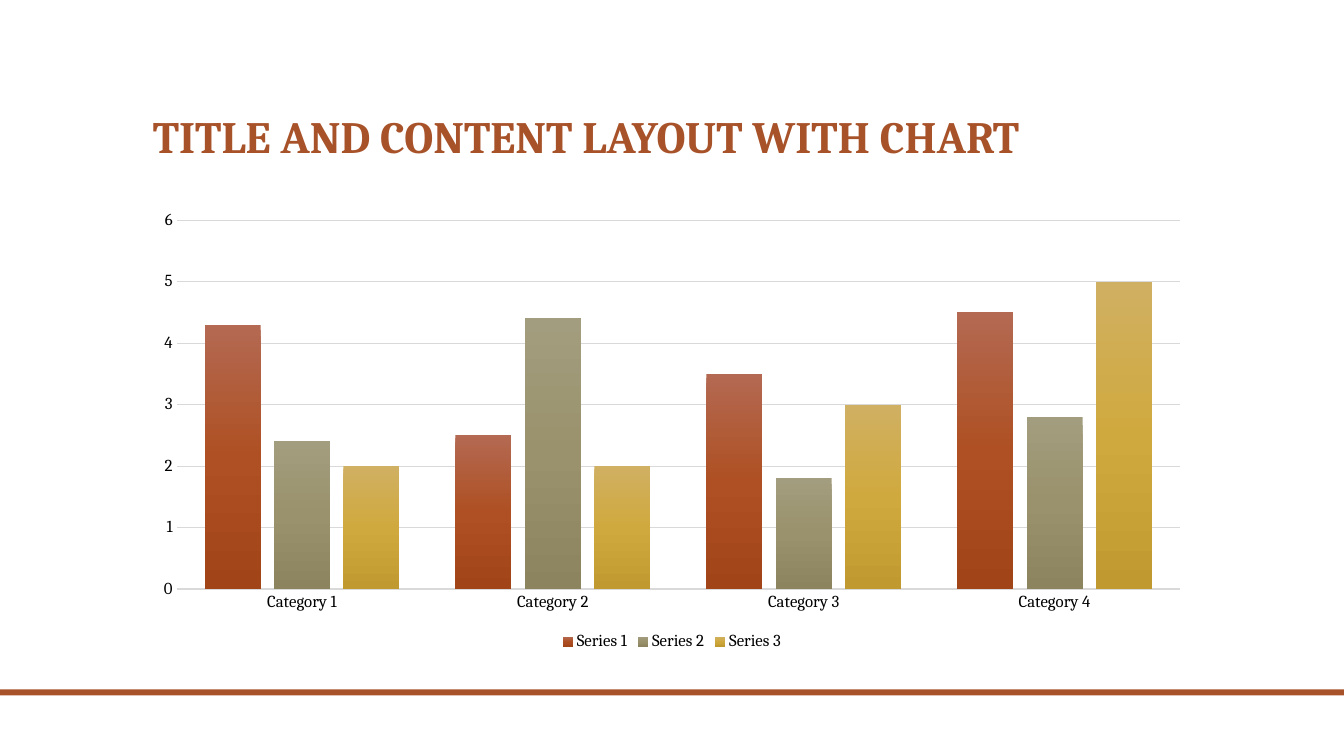
from copy import deepcopy
from dataclasses import dataclass

from pptx import Presentation
from pptx.chart.data import CategoryChartData
from pptx.dml.color import RGBColor
from pptx.enum.chart import XL_CHART_TYPE, XL_LEGEND_POSITION, XL_TICK_MARK
from pptx.enum.shapes import MSO_SHAPE
from pptx.enum.text import MSO_ANCHOR, MSO_AUTO_SIZE, PP_ALIGN
from pptx.util import Pt

SLIDE_WIDTH, SLIDE_HEIGHT = 960, 540
CONTENT_LEFT, CONTENT_WIDTH = 102, 756

CATEGORIES = [f"Category {number}" for number in range(1, 5)]
SERIES = {
    "Series 1": (4.3, 2.5, 3.5, 4.5),
    "Series 2": (2.4, 4.4, 1.8, 2.8),
    "Series 3": (2, 2, 3, 5),
}


@dataclass(frozen=True)
class Theme:
    font: str = "Cambria"
    accent: str = "A85229"
    chart_text: str = "000000"
    rule: str = "D9D9D9"
    title_size: int = 32
    chart_size: int = 12
    rule_width: float = 0.75
    # Top, middle and bottom colour of each series
    gradients: tuple = (
        ("B46952", "AE5023", "A14519"),
        ("A39D7F", "9A926C", "8B845E"),
        ("D0B062", "D0A93E", "C09A30"),
    )


class SlideBuilder:
    def __init__(self, slide, theme):
        self.slide = slide
        self.theme = theme

    def style_font(self, font, size, color, bold=False):
        font.name = self.theme.font
        font.size = Pt(size)
        font.bold = bold
        font.color.rgb = RGBColor.from_string(color)

    def style_rule(self, line):
        line.color.rgb = RGBColor.from_string(self.theme.rule)
        line.width = Pt(self.theme.rule_width)

    def fill_gradient(self, fill, colors):
        """Fill from top to bottom with three evenly spaced colours."""
        fill.gradient()
        fill.gradient_angle = 270
        stop_list = fill._fill._gradFill.gsLst
        stop_list.insert(1, deepcopy(stop_list[0]))
        for index, (stop, color) in enumerate(zip(fill.gradient_stops, colors)):
            stop.position = index / 2
            stop.color.rgb = RGBColor.from_string(color)

    def add_band(self, left, top, width, height):
        band = self.slide.shapes.add_shape(
            MSO_SHAPE.RECTANGLE, Pt(left), Pt(top), Pt(width), Pt(height))
        band.shadow.inherit = False
        band.fill.solid()
        band.fill.fore_color.rgb = RGBColor.from_string(self.theme.accent)
        band.line.fill.background()

    def set_title(self, text, left, top, width, height):
        title = self.slide.shapes.title
        title.left, title.top = Pt(left), Pt(top)
        title.width, title.height = Pt(width), Pt(height)
        frame = title.text_frame
        frame.text = text
        frame.word_wrap = True
        frame.auto_size = MSO_AUTO_SIZE.NONE
        frame.vertical_anchor = MSO_ANCHOR.BOTTOM
        heading = frame.paragraphs[0]
        heading.alignment = PP_ALIGN.LEFT
        heading.line_spacing = 0.9
        self.style_font(heading.runs[0].font, self.theme.title_size,
                        self.theme.accent, bold=True)

    def add_column_chart(self, categories, series, left, top, width, height):
        data = CategoryChartData()
        data.categories = categories
        for name, values in series.items():
            data.add_series(name, values)
        chart = self.slide.shapes.add_chart(
            XL_CHART_TYPE.COLUMN_CLUSTERED,
            Pt(left), Pt(top), Pt(width), Pt(height), data).chart
        chart.has_title = False
        self.style_font(chart.font, self.theme.chart_size, self.theme.chart_text)

        chart.has_legend = True
        chart.legend.position = XL_LEGEND_POSITION.BOTTOM
        chart.legend.include_in_layout = False
        self.style_font(chart.legend.font, self.theme.chart_size,
                        self.theme.chart_text)

        for axis in (chart.category_axis, chart.value_axis):
            axis.major_tick_mark = axis.minor_tick_mark = XL_TICK_MARK.NONE
            self.style_font(axis.tick_labels.font, self.theme.chart_size,
                            self.theme.chart_text)
        self.style_rule(chart.category_axis.format.line)
        scale = chart.value_axis
        scale.minimum_scale, scale.maximum_scale, scale.major_unit = 0, 6, 1
        scale.format.line.fill.background()
        self.style_rule(scale.major_gridlines.format.line)

        columns = chart.plots[0]
        columns.gap_width = 100
        columns.overlap = -24
        columns.vary_by_categories = False
        for column, colors in zip(columns.series, self.theme.gradients):
            column.invert_if_negative = False
            self.fill_gradient(column.format.fill, colors)


def main():
    presentation = Presentation()
    presentation.slide_width = Pt(SLIDE_WIDTH)
    presentation.slide_height = Pt(SLIDE_HEIGHT)
    title_only = presentation.slide_layouts[5]
    builder = SlideBuilder(presentation.slides.add_slide(title_only), Theme())

    builder.add_band(0, 492.5, SLIDE_WIDTH, 4.3)
    builder.set_title("TITLE AND CONTENT LAYOUT WITH CHART",
                      CONTENT_LEFT, 30, CONTENT_WIDTH, 90)
    builder.add_column_chart(CATEGORIES, SERIES,
                             CONTENT_LEFT, 144, CONTENT_WIDTH, 324)
    presentation.save("out.pptx")


if __name__ == "__main__":
    main()
